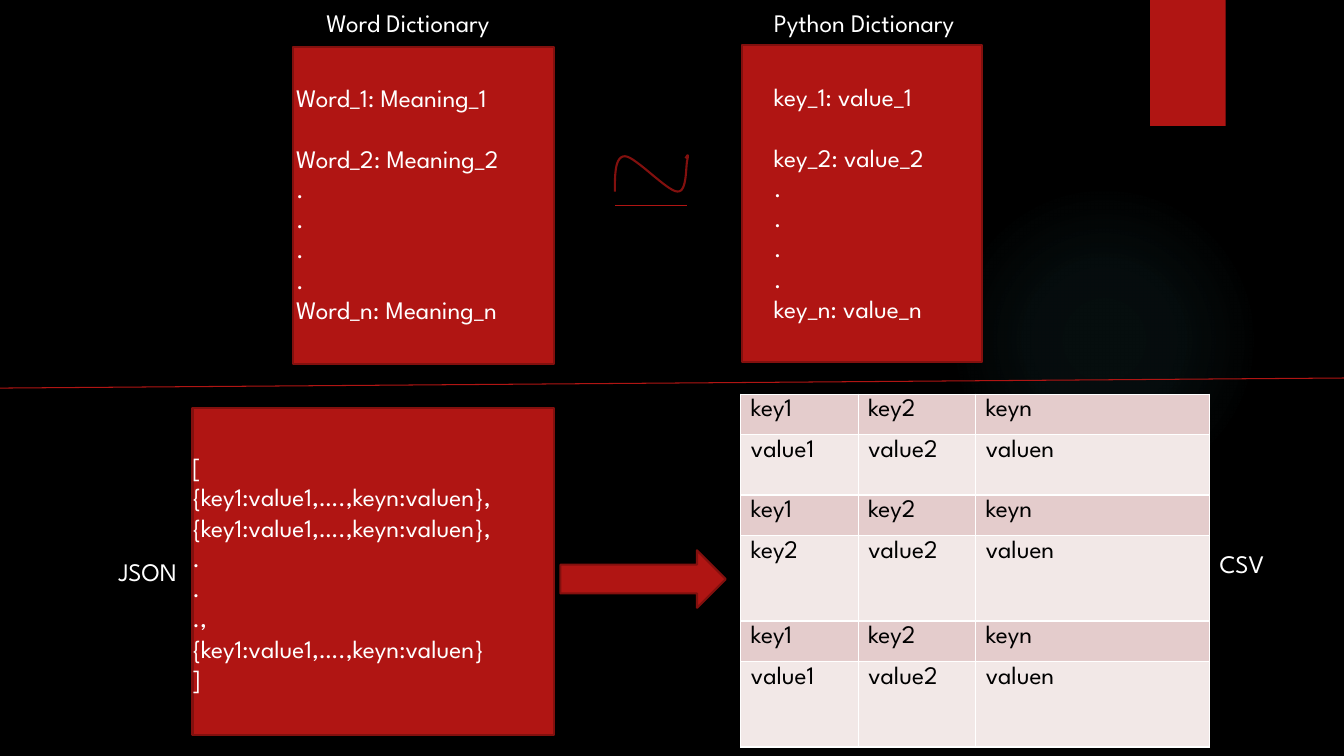
from lxml import etree
from pptx import Presentation
from pptx.dml.color import RGBColor
from pptx.enum.shapes import MSO_CONNECTOR, MSO_SHAPE
from pptx.oxml import parse_xml
from pptx.oxml.ns import nsdecls, qn
from pptx.util import Inches, Pt

COLUMNS, ROWS = 133.33, 75  # square grid cells, a tenth of an inch each
FONT, SIZE = "League Spartan", 18
LINE_PITCH = 21.6
RED, DARK_RED, WHITE, BLACK = "B01513", "82100E", "FFFFFF", "000000"
GLOW, HEADER_FILL, VALUE_FILL = "50B9C1", "E4CCCC", "F2E8E7"

WORDS = ["Word_1: Meaning_1", "Word_2: Meaning_2", *"....", "Word_n: Meaning_n"]
KEYS = ["key_1: value_1", "key_2: value_2", *"....", "key_n: value_n"]
RECORD = "{key1:value1,….,keyn:valuen}"
JSON_LINES = ["[", f"{RECORD}, {RECORD},", ".", ".", ".,", RECORD, "]"]

HEADER = ["key1", "key2", "keyn"]
VALUES = ["value1", "value2", "valuen"]
CSV_ROWS = [HEADER, VALUES, HEADER, ["key2", "value2", "valuen"], HEADER, VALUES]
CSV_WIDTHS = [11.65, 11.65, 23.2]
CSV_HEIGHTS = [4, 6, 4, 8.5, 4, 8.5]


def cells(*counts):
    return [Inches(count / 10) for count in counts]


def color(value):
    return RGBColor.from_string(value)


def style_font(paragraph, value):
    font = paragraph.font
    font.name, font.size = FONT, Pt(SIZE)
    font.color.rgb = color(value)


def add_block(slide, kind, box, fill=RED, outline=DARK_RED):
    shape = slide.shapes.add_shape(kind, *cells(*box))
    shape.shadow.inherit = False
    shape.fill.solid()
    shape.fill.fore_color.rgb = color(fill)
    if outline:
        shape.line.color.rgb = color(outline)
        shape.line.width = Pt(1.5)
    else:
        shape.line.fill.background()
    return shape


def add_glow(slide, box):
    """Add a disc that fades from its centre to nothing."""
    shape = add_block(slide, MSO_SHAPE.OVAL, box, GLOW, None)
    stops = "".join(
        f'<a:gs pos="{position}000"><a:srgbClr val="{GLOW}">'
        f'<a:alpha val="{alpha}000"/></a:srgbClr></a:gs>'
        for position, alpha in [(0, 7), (36, 6), (69, 0)]
    )
    gradient = parse_xml(
        f'<a:gradFill {nsdecls("a")}><a:gsLst>{stops}</a:gsLst><a:path path="circle">'
        '<a:fillToRect l="50000" t="50000" r="50000" b="50000"/></a:path></a:gradFill>'
    )
    properties = shape.element.spPr
    properties.replace(properties.find(qn("a:solidFill")), gradient)


def add_text(slide, box, lines, gap_after_first=False):
    frame = slide.shapes.add_textbox(*cells(*box)).text_frame
    frame.word_wrap = True
    frame.text = "\n".join(lines)
    for paragraph in frame.paragraphs:
        style_font(paragraph, WHITE)
    if gap_after_first:
        frame.paragraphs[0].space_after = Pt(LINE_PITCH)


def add_line(slide, start, end):
    line = slide.shapes.add_connector(MSO_CONNECTOR.STRAIGHT, *cells(*start, *end))
    line.line.color.rgb = color(RED)
    line.line.width = Pt(0.75)
    etree.SubElement(line.element.spPr, qn("a:effectLst"))


def bezier(points, steps=16):
    """Return points along a cubic curve, without its start."""
    curve = []
    for step in range(1, steps + 1):
        t = step / steps
        weights = [(1 - t) ** 3, 3 * t * (1 - t) ** 2, 3 * t * t * (1 - t), t ** 3]
        curve.append(tuple(
            Inches(sum(w * p[axis] for w, p in zip(weights, points)) / 10)
            for axis in (0, 1)
        ))
    return curve


def add_wave(slide, start, curves):
    builder = slide.shapes.build_freeform(*cells(*start))
    for curve in curves:
        builder.add_line_segments(bezier([start, *curve]), close=False)
        start = curve[-1]
    wave = builder.convert_to_shape()
    wave.shadow.inherit = False
    wave.fill.background()
    wave.line.color.rgb = color(DARK_RED)
    wave.line.width = Pt(1.5)


def add_borders(cell):
    properties = cell._tc.get_or_add_tcPr()
    for index, side in enumerate(["lnL", "lnR", "lnT", "lnB"]):
        properties.insert(index, parse_xml(
            f'<a:{side} {nsdecls("a")} w="12700"><a:solidFill>'
            f'<a:srgbClr val="{WHITE}"/></a:solidFill></a:{side}>'
        ))


def add_csv_table(slide, left, top):
    box = cells(left, top, sum(CSV_WIDTHS), sum(CSV_HEIGHTS))
    table = slide.shapes.add_table(len(CSV_ROWS), len(HEADER), *box).table
    for column, width in zip(table.columns, cells(*CSV_WIDTHS)):
        column.width = width
    for row, height in zip(table.rows, cells(*CSV_HEIGHTS)):
        row.height = height
    for row_index, texts in enumerate(CSV_ROWS):
        for column_index, text in enumerate(texts):
            cell = table.cell(row_index, column_index)
            cell.text = text
            style_font(cell.text_frame.paragraphs[0], BLACK)
            cell.fill.solid()
            cell.fill.fore_color.rgb = color(VALUE_FILL if row_index % 2 else HEADER_FILL)
            add_borders(cell)


def main():
    presentation = Presentation()
    presentation.slide_width, presentation.slide_height = cells(COLUMNS, ROWS)
    slide = presentation.slides.add_slide(presentation.slide_layouts[6])
    slide.background.fill.solid()
    slide.background.fill.fore_color.rgb = color(BLACK)

    add_glow(slide, (94.1, 18.3, 30.8, 30.8))
    add_block(slide, MSO_SHAPE.RECTANGLE, (114.1, 0, 7.5, 12.5), outline=None)

    add_block(slide, MSO_SHAPE.RECTANGLE, (29.1, 4.7, 25.9, 31.4))
    add_text(slide, (28.4, 7.7, 27.2, 25.2), WORDS, gap_after_first=True)
    add_block(slide, MSO_SHAPE.RECTANGLE, (73.6, 4.5, 23.8, 31.4))
    add_text(slide, (75.8, 7.6, 24.2, 25.2), KEYS, gap_after_first=True)

    add_line(slide, (0, 38.5), (COLUMNS, 37.5))

    add_block(slide, MSO_SHAPE.RECTANGLE, (19.1, 40.5, 35.9, 32.4))
    add_text(slide, (18.1, 44.3, 38.7, 25.2), JSON_LINES)
    add_csv_table(slide, 73.5, 39.1)

    for left, top, width, label in [
        (31.4, 0.2, 24.2, "Word Dictionary"),
        (75.8, 0.2, 24.2, "Python Dictionary"),
        (10.8, 54.7, 9.3, "JSON"),
        (120, 53.9, 10.3, "CSV"),
    ]:
        add_text(slide, (left, top, width, 4), [label])

    add_block(slide, MSO_SHAPE.RIGHT_ARROW, (55.6, 54.6, 16.4, 5.7))
    add_wave(slide, (61, 19), [
        [(61, 17.3), (61, 15.5), (62, 15.5)],
        [(63, 15.5), (66.2, 19), (67.2, 19)],
        [(68.2, 19.1), (68, 16.4), (68.2, 15.8)],
        [(68.3, 15.2), (68.2, 15.4), (68, 15.7)],
    ])
    add_line(slide, (61, 20.4), (68.2, 20.4))

    presentation.save("out.pptx")


if __name__ == "__main__":
    main()
